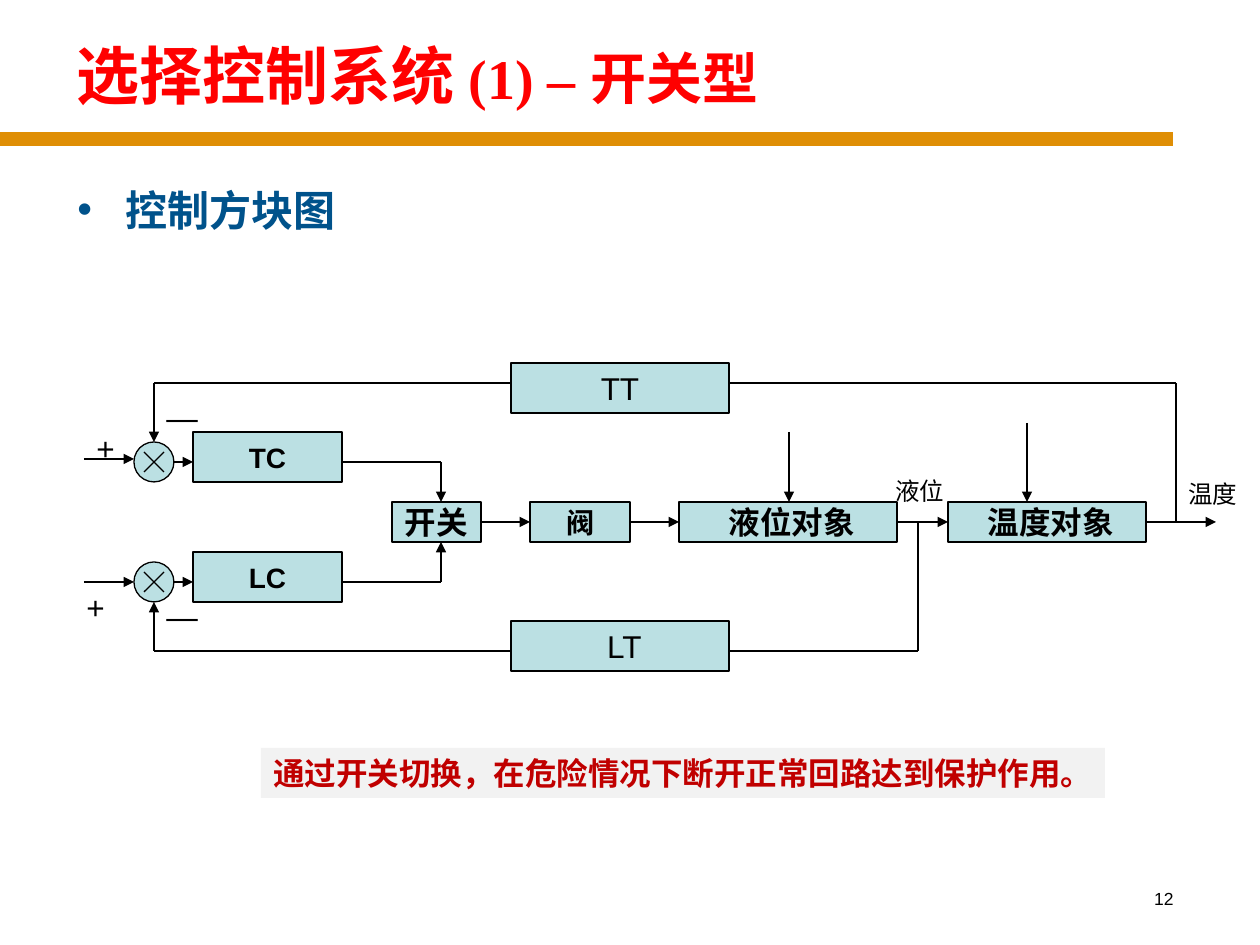
import pptx
import pptx.util
from lxml import etree
from pptx.dml.color import RGBColor
from pptx.enum.shapes import MSO_CONNECTOR, MSO_SHAPE
from pptx.enum.text import MSO_ANCHOR, PP_ALIGN
from pptx.oxml.ns import qn

PX = 914400 / 126
BLACK = RGBColor(0x00, 0x00, 0x00)
RED = RGBColor(0xFF, 0x00, 0x00)
DARK_RED = RGBColor(0xC0, 0x00, 0x00)
BLUE = RGBColor(0x00, 0x52, 0x8B)
ORANGE = RGBColor(0xDF, 0x8E, 0x05)
TEAL = RGBColor(0xBB, 0xE0, 0xE3)
PALE_GREY = RGBColor(0xF2, 0xF2, 0xF2)

deck = pptx.Presentation()
deck.slide_width = round(1260 * PX)
deck.slide_height = round(945 * PX)
slide = deck.slides.add_slide(deck.slide_layouts[6])


def draw_line(x1, y1, x2, y2, arrow=False, color=BLACK, width=0.75):
    line = slide.shapes.add_connector(
        MSO_CONNECTOR.STRAIGHT, *(round(v * PX) for v in (x1, y1, x2, y2)))
    line.line.color.rgb = color
    line.line.width = pptx.util.Pt(width)
    if arrow:
        etree.SubElement(line.line._get_or_add_ln(), qn("a:tailEnd"), type="triangle")
    etree.SubElement(line._element.spPr, qn("a:effectLst"))


def add_block(box, runs=(), color=BLACK, fill=None, outline=None, kind=None,
              align=PP_ALIGN.LEFT, anchor=MSO_ANCHOR.TOP, wrap=False):
    """Add a text box, or a preset shape if kind is given; a run is (text, size, bold, font)."""
    place = [round(v * PX) for v in box]
    if kind is None:
        block = slide.shapes.add_textbox(*place)
    else:
        block = slide.shapes.add_shape(kind, *place)
        block.shadow.inherit = False
        block.fill.solid()
        block.fill.fore_color.rgb = fill
        if outline is None:
            block.line.fill.background()
        else:
            block.line.color.rgb = outline
            block.line.width = pptx.util.Pt(0.75)
    frame = block.text_frame
    frame.word_wrap = wrap
    frame.vertical_anchor = anchor
    paragraph = frame.paragraphs[0]
    paragraph.alignment = align
    for text, size, bold, font in runs:
        run = paragraph.add_run()
        run.text = text
        run.font.size = pptx.util.Pt(size)
        run.font.bold = bold
        run.font.name = font
        run.font.color.rgb = color
    return paragraph


# Heading
draw_line(0, 139, 1173, 139, color=ORANGE, width=8)
title = add_block((53, 21, 1134, 106),
                  [("选择控制系统 ", 36, True, "Arial"),
                   ("(1) – 开关型", 32, True, "Times New Roman")],
                  color=RED, anchor=MSO_ANCHOR.MIDDLE, wrap=True)
title._p.get_or_add_pPr().set("marL", str(round(11 * PX)))

topic = add_block((53, 178, 1104, 77), [("控制方块图", 24, True, "Arial")],
                  color=BLUE, wrap=True)
topic_format = topic._p.get_or_add_pPr()
topic_format.set("marL", str(round(60 * PX)))
topic_format.set("indent", str(round(-48 * PX)))
etree.SubElement(topic_format, qn("a:buFont"), typeface="Arial")
etree.SubElement(topic_format, qn("a:buChar"), char="•")

# Summing points, one per loop
for center_y in (462, 582):
    add_block((134, center_y - 20, 40, 40), kind=MSO_SHAPE.OVAL, fill=TEAL, outline=BLACK)
    for slope in (1, -1):
        draw_line(144, center_y - 10 * slope, 164, center_y + 10 * slope)

# Diagram blocks: label, size, bold, left, top, width, height
blocks = [
    ("TC", 16, True, 193, 432, 149, 50),
    ("LC", 16, True, 193, 552, 149, 50),
    ("TT", 18, False, 511, 363, 218, 50),
    ("LT", 18, False, 511, 621, 218, 50),
    ("开关", 18, True, 392, 502, 89, 40),
    ("阀", 16, True, 530, 502, 100, 40),
    ("液位对象", 18, True, 679, 502, 218, 40),
    ("温度对象", 18, True, 948, 502, 198, 40),
]
for label, size, bold, *box in blocks:
    runs = [(label, size, bold, "Arial")]
    if label in ("LT", "液位对象", "温度对象"):
        runs.insert(0, (" ", size, True, "Arial"))
    add_block(box, runs, kind=MSO_SHAPE.RECTANGLE, fill=TEAL, outline=BLACK,
              align=PP_ALIGN.CENTER, anchor=MSO_ANCHOR.MIDDLE)

signal_arrows = [
    (84, 459, 134, 459), (84, 582, 134, 582),      # set points
    (174, 462, 193, 462), (174, 582, 193, 582),    # errors to the controllers
    (154, 383, 154, 442), (154, 651, 154, 602),    # feedback
    (441, 462, 441, 502), (441, 582, 441, 542),    # controllers to the switch
    (481, 522, 530, 522), (630, 522, 679, 522),
    (898, 522, 948, 522), (1146, 522, 1216, 522),
    (789, 432, 789, 502), (1027, 423, 1027, 502),  # disturbances
]
for ends in signal_arrows:
    draw_line(*ends, arrow=True)

signal_paths = [
    (342, 462, 441, 462), (342, 582, 441, 582),
    (511, 383, 154, 383), (511, 651, 154, 651),
    (729, 383, 1176, 383), (729, 651, 918, 651),
    (1176, 522, 1176, 383), (918, 522, 918, 651),
]
for ends in signal_paths:
    draw_line(*ends)

# Signal names and signs
signals = [
    ("温度", 14, 1176, 473, 74, 43),
    ("液位", 14, 883, 470, 74, 43),
    ("+", 18, 84, 423, 59, 50),
    ("+", 18, 74, 582, 59, 50),
    ("—", 18, 154, 392, 49, 50),
    ("—", 18, 154, 591, 49, 50),
]
for label, size, *box in signals:
    add_block(box, [(label, size, False, "Arial")], wrap=size == 18)

# Conclusion and page number
add_block((261, 748, 844, 50),
          [("通过开关切换，在危险情况下断开正常回路达到保护作用。", 18, True, "Arial")],
          color=DARK_RED, fill=PALE_GREY, kind=MSO_SHAPE.RECTANGLE)
add_block((924, 882, 262, 63), [("12", 10, False, "Arial")],
          align=PP_ALIGN.RIGHT, wrap=True)

deck.save("out.pptx")
